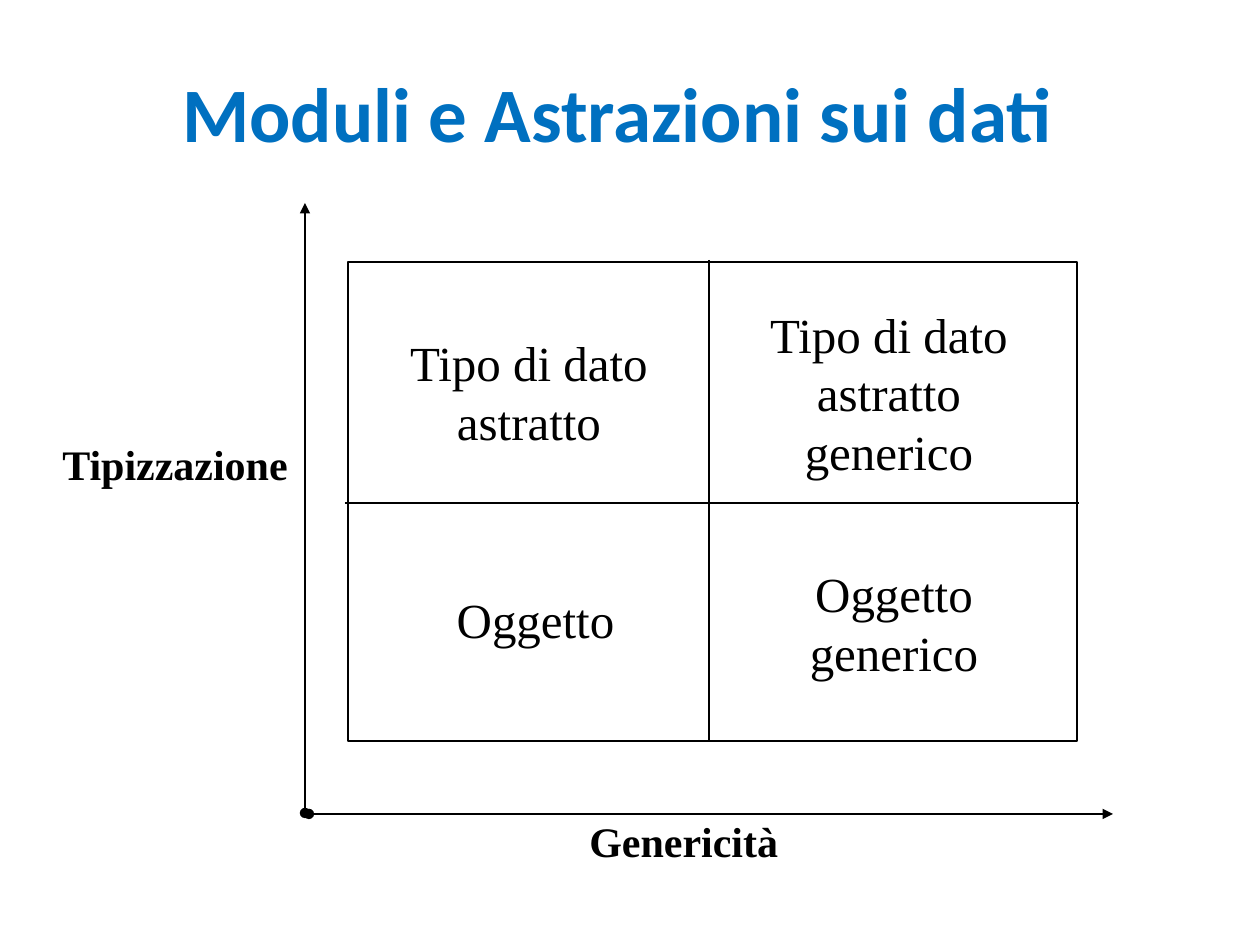
from pptx import Presentation
from pptx.dml.color import RGBColor
from pptx.enum.shapes import MSO_CONNECTOR, MSO_SHAPE
from pptx.enum.text import MSO_ANCHOR, MSO_AUTO_SIZE, PP_ALIGN
from pptx.oxml.ns import qn
from pptx.util import Emu, Pt
from lxml import etree

PIXEL = 914400 // 126
BLACK = RGBColor(0x00, 0x00, 0x00)
BLUE = RGBColor(0x00, 0x70, 0xC0)
SERIF = "Times New Roman"


def add_text(box, lines, size, font=SERIF, color=BLACK, bold=False, align=PP_ALIGN.CENTER):
    shape = slide.shapes.add_textbox(*[Emu(value * PIXEL) for value in box])
    frame = shape.text_frame
    frame.word_wrap = False
    frame.auto_size = MSO_AUTO_SIZE.SHAPE_TO_FIT_TEXT
    for index, line in enumerate(lines):
        paragraph = frame.paragraphs[0] if index == 0 else frame.add_paragraph()
        paragraph.alignment = align
        run = paragraph.add_run()
        run.text = line
        run.font.name = font
        run.font.size = Pt(size)
        run.font.bold = bold
        run.font.color.rgb = color
    return frame


def add_line(points, arrow=False):
    line = slide.shapes.add_connector(
        MSO_CONNECTOR.STRAIGHT, *[Emu(value * PIXEL) for value in points])
    line.line.color.rgb = BLACK
    line.line.width = Pt(0.75)
    if arrow:
        outline = line.line._get_or_add_ln()
        etree.SubElement(outline, qn("a:headEnd"), type="oval")
        etree.SubElement(outline, qn("a:tailEnd"), type="triangle")
    etree.SubElement(line._element.spPr, qn("a:effectLst"))


presentation = Presentation()
presentation.slide_width = Emu(1260 * PIXEL)
presentation.slide_height = Emu(945 * PIXEL)
slide = presentation.slides.add_slide(presentation.slide_layouts[6])

# Title, set slightly left of the middle of its box
title = add_text((151, 37, 971, 150), ["Moduli e Astrazioni sui dati"], 44,
                 "Calibri", BLUE, True)
title.auto_size = MSO_AUTO_SIZE.NONE
title.word_wrap = True
title.vertical_anchor = MSO_ANCHOR.MIDDLE
title.margin_right = Emu(50 * PIXEL)

# Matrix frame and dividers
matrix = slide.shapes.add_shape(
    MSO_SHAPE.RECTANGLE, *[Emu(value * PIXEL) for value in (348, 262, 729, 479)])
matrix.shadow.inherit = False
matrix.fill.background()
matrix.line.color.rgb = BLACK
matrix.line.width = Pt(0.75)
add_line((345, 503, 1079, 503))
add_line((709, 260, 709, 741))

# Matrix cells
cells = [
    ((444, 583, 183, 72), ["Oggetto"]),
    ((797, 557, 194, 130), ["Oggetto", "generico"]),
    ((397, 326, 264, 130), ["Tipo di dato", "astratto"]),
    ((757, 298, 264, 189), ["Tipo di dato", "astratto", "generico"]),
]
for box, lines in cells:
    add_text(box, lines, 28)

# Axes and their labels
add_line((309, 814, 1113, 814), arrow=True)
add_line((305, 813, 305, 203), arrow=True)
for box, label in [((577, 809, 214, 63), "Genericità"),
                   ((50, 432, 251, 63), "Tipizzazione")]:
    add_text(box, [label], 24, bold=True, align=PP_ALIGN.LEFT)

presentation.save("out.pptx")
